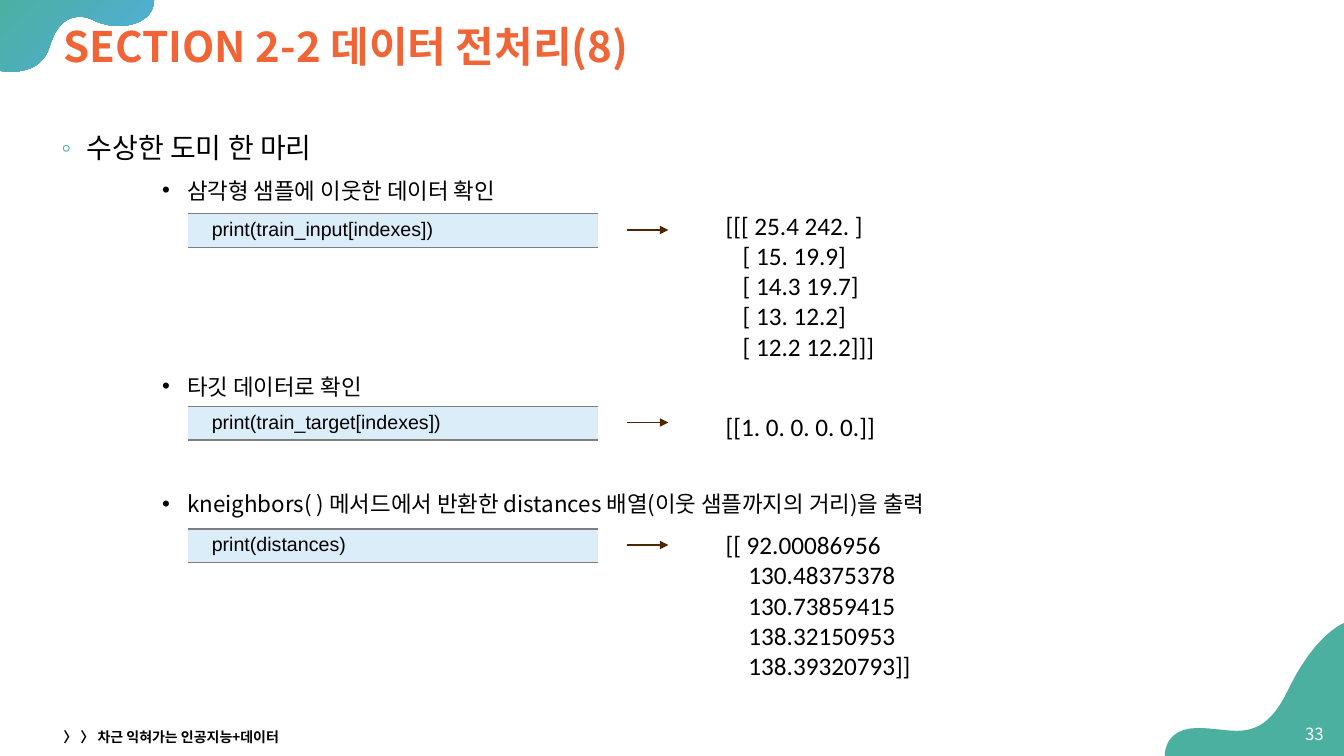
from lxml import etree
from pptx import Presentation
from pptx.dml.color import RGBColor
from pptx.enum import shapes, text
from pptx.oxml import ns
from pptx.util import Pt

NOTO, MONO, OUTPUT = "Noto Sans CJK KR", "Arial", "Calibri"
TEAL, BLUE, ORANGE, BROWN = "4BB0A0", "52AEE1", "F06436", "4D2702"
BLACK, WHITE, GRAY, PALE = "000000", "FFFFFF", "7F7F7F", "DCEDFA"

TITLE = "SECTION 2-2 데이터 전처리(8)"
FOOTER = "〉 〉 차근 익혀가는 인공지능+데이터"
PAGE = "33"

# text, size, left margin, space before, bullet, bullet colour
BULLETS = [
    ("수상한 도미 한 마리", 20, 18, 0, "◦", TEAL),
    ("삼각형 샘플에 이웃한 데이터 확인", 16, 90, 0, "•", BLACK),
    ("타깃 데이터로 확인", 16, 90, 112, "•", BLACK),
    ("kneighbors( ) 메서드에서 반환한 distances 배열(이웃 샘플까지의 거리)을 출력",
     16, 90, 56, "•", BLACK),
]

# code, code top, output top, indent of later lines, output lines
EXAMPLES = [
    ("print(train_input[indexes])", 152.8, 146.5, 12.2,
     ["[[[ 25.4 242. ]", "[ 15. 19.9]", "[ 14.3 19.7]", "[ 13. 12.2]", "[ 12.2 12.2]]]"]),
    ("print(train_target[indexes])", 290.3, 290.2, 0, ["[[1. 0. 0. 0. 0.]]"]),
    ("print(distances)", 377.8, 374.6, 16.3,
     ["[[ 92.00086956", "130.48375378", "130.73859415", "138.32150953", "138.39320793]]"]),
]

# Each step is a line end (one point) or a Bezier curve (three points)
TOP_WAVE = [
    [(110, 0)], [(0, 0)], [(0, 50.6)],
    [(0, 50.6), (3, 51.2), (8, 51.2)],
    [(17.5, 51.2), (31, 48.5), (35.5, 33)],
    [(40.5, 16.5), (49, 12), (57, 12)],
    [(60.5, 12), (64, 13), (67, 14.5)],
    [(73, 17.5), (79, 18.5), (85, 18.5)],
    [(98.5, 18.5), (110, 12), (110, 0)],
]
BOTTOM_WAVE = [
    [(960, 445)],
    [(960, 445), (939, 453), (920, 493)],
    [(908.5, 517), (896.5, 522), (883.5, 522)],
    [(875, 522), (865.5, 520), (855.5, 520)],
    [(831, 520), (832, 540), (832, 540)],
    [(960, 540)],
]


def color(value):
    return RGBColor.from_string(value)


def add_run(p, content, size, font, fill=BLACK, bold=False):
    r = p.add_run()
    r.text = content
    r.font.size, r.font.name, r.font.bold = Pt(size), font, bold
    r.font.color.rgb = color(fill)
    etree.SubElement(r.font._element, ns.qn("a:ea")).set("typeface", font)


def add_box(s, x, y, w, h, anchor=text.MSO_ANCHOR.TOP):
    tf = s.shapes.add_textbox(Pt(x), Pt(y), Pt(w), Pt(h)).text_frame
    tf.word_wrap, tf.vertical_anchor = True, anchor
    return tf


def next_paragraph(tf, index):
    return tf.add_paragraph() if index else tf.paragraphs[0]


def add_wave(s, steps):
    """Draw an outline, with every curve sampled in twelve pieces."""
    points = []
    for step in steps:
        if len(step) == 1:
            points.append(step[0])
            continue
        a, (b, c, d) = points[-1], step
        for t in (i / 12 for i in range(1, 13)):
            v = 1 - t
            points.append(tuple(
                v**3 * a[k] + 3 * v * v * t * b[k] + 3 * v * t * t * c[k] + t**3 * d[k]
                for k in (0, 1)))
    units = [(x * 100, y * 100) for x, y in points]
    builder = s.shapes.build_freeform(*units[0], scale=Pt(1) / 100)
    builder.add_line_segments(units[1:], close=True)
    sp = builder.convert_to_shape()
    sp.shadow.inherit = False
    sp.line.fill.background()
    return sp


def add_bullets(s):
    tf = add_box(s, 36.7, 86, 914, 437)
    for i, (content, size, margin, before, char, tint) in enumerate(BULLETS):
        p = next_paragraph(tf, i)
        p.line_spacing, p.space_before = Pt(28), Pt(before)
        pPr = p._p.get_or_add_pPr()
        pPr.set("marL", str(Pt(margin)))
        pPr.set("indent", str(Pt(-18)))
        clr = etree.SubElement(pPr, ns.qn("a:buClr"))
        etree.SubElement(clr, ns.qn("a:srgbClr")).set("val", tint)
        etree.SubElement(pPr, ns.qn("a:buFont")).set("typeface", MONO)
        etree.SubElement(pPr, ns.qn("a:buChar")).set("char", char)
        add_run(p, content, size, NOTO)


def add_code(s, code, y):
    table = s.shapes.add_table(1, 1, Pt(134), Pt(y), Pt(293), Pt(23.5)).table
    table.first_row = table.horz_banding = False
    cell = table.cell(0, 0)
    cell.margin_left = Pt(17.3)
    cell.fill.solid()
    cell.fill.fore_color.rgb = color(PALE)
    add_run(cell.text_frame.paragraphs[0], code, 14, MONO)
    tcPr = cell._tc.get_or_add_tcPr()
    for i, side in enumerate(["lnL", "lnR", "lnT", "lnB"]):
        ln = etree.Element(ns.qn("a:" + side), w=str(Pt(1)))
        if side in ("lnT", "lnB"):
            fill = etree.SubElement(ln, ns.qn("a:solidFill"))
            etree.SubElement(fill, ns.qn("a:srgbClr")).set("val", GRAY)
        else:
            etree.SubElement(ln, ns.qn("a:noFill"))
        tcPr.insert(i, ln)


def add_arrow(s, y):
    arrow = s.shapes.add_connector(
        shapes.MSO_CONNECTOR.STRAIGHT, Pt(447.8), Pt(y), Pt(477.4), Pt(y))
    arrow.line.width = Pt(0.75)
    arrow.line.color.rgb = color(BROWN)
    etree.SubElement(arrow.line._get_or_add_ln(), ns.qn("a:tailEnd")).set("type", "triangle")
    etree.SubElement(arrow._element.spPr, ns.qn("a:effectLst"))


def add_output(s, y, indent, lines):
    tf = add_box(s, 511.2, y, 173.5, 7.2 + 22 * len(lines))
    for i, line in enumerate(lines):
        p = next_paragraph(tf, i)
        if i:
            p._p.get_or_add_pPr().set("marL", str(Pt(indent)))
        add_run(p, line, 18, OUTPUT)


def main():
    prs = Presentation()
    prs.slide_width, prs.slide_height = Pt(960), Pt(540)
    s = prs.slides.add_slide(prs.slide_layouts[5])

    fill = add_wave(s, TOP_WAVE).fill
    fill.gradient()
    fill.gradient_angle = 315
    for stop, tint, position in zip(fill.gradient_stops, (TEAL, BLUE), (0, 1)):
        stop.color.rgb, stop.position = color(tint), position
    fill = add_wave(s, BOTTOM_WAVE).fill
    fill.solid()
    fill.fore_color.rgb = color(TEAL)

    title = s.shapes.title
    s.shapes._spTree.append(title._element)  # bring in front of the waves
    title.left, title.top, title.width, title.height = Pt(38.2), Pt(8.6), Pt(888.5), Pt(52.6)
    tf = title.text_frame
    tf.vertical_anchor, tf.auto_size = text.MSO_ANCHOR.MIDDLE, text.MSO_AUTO_SIZE.NONE
    p = tf.paragraphs[0]
    p.alignment, p.line_spacing = text.PP_ALIGN.LEFT, 0.9
    add_run(p, TITLE, 30, NOTO, ORANGE, True)

    p = add_box(s, 920.9, 509.8, 31.7, 28.8, text.MSO_ANCHOR.MIDDLE).paragraphs[0]
    p.alignment = text.PP_ALIGN.RIGHT
    add_run(p, PAGE, 12, NOTO, WHITE)
    p = add_box(s, 38.2, 517.7, 324, 17.3, text.MSO_ANCHOR.MIDDLE).paragraphs[0]
    add_run(p, FOOTER, 10, NOTO, bold=True)

    add_bullets(s)
    for code, code_top, output_top, indent, lines in EXAMPLES:
        add_code(s, code, code_top)
        add_arrow(s, code_top + 11.5)
        add_output(s, output_top, indent, lines)
    prs.save("out.pptx")


if __name__ == "__main__":
    main()
